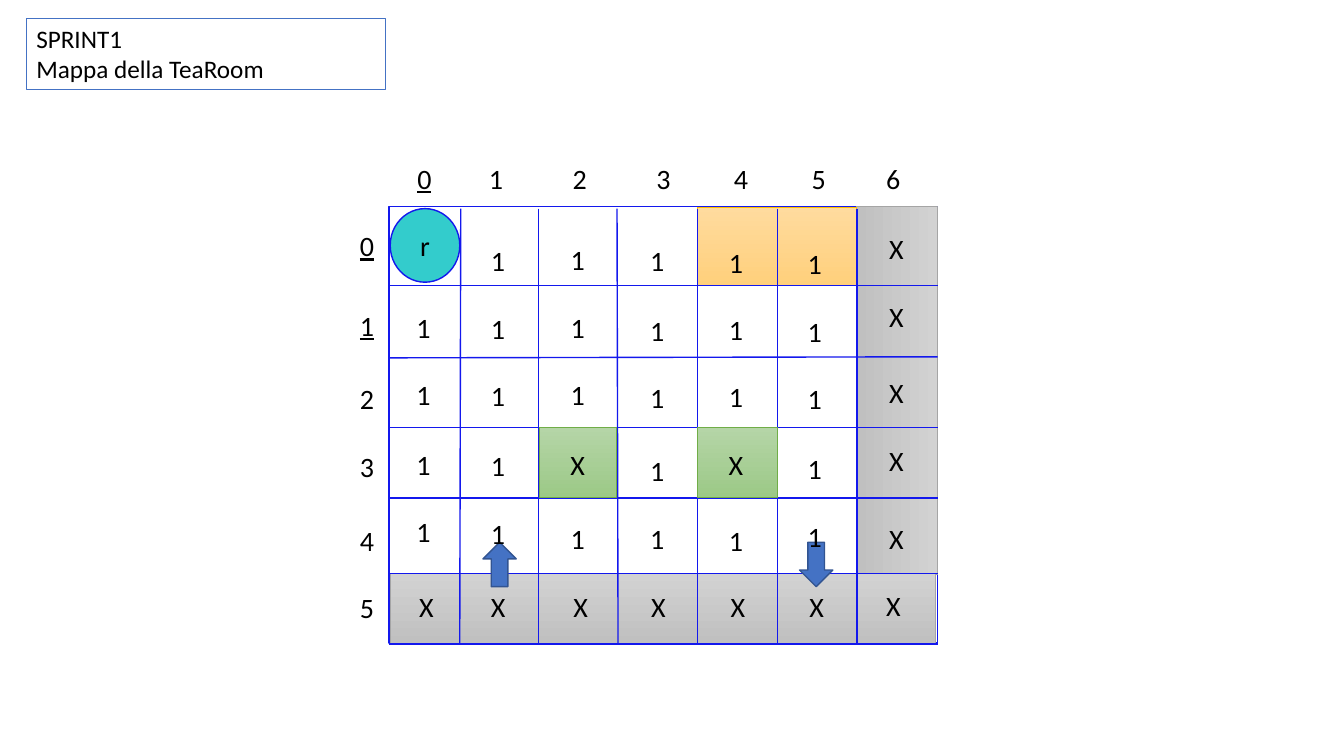
from dataclasses import dataclass
from pptx import Presentation
from pptx.dml.color import RGBColor
from pptx.enum.shapes import MSO_CONNECTOR, MSO_SHAPE
from pptx.enum.text import MSO_ANCHOR, PP_ALIGN
from pptx.oxml.ns import qn
from pptx.util import Pt

RECTANGLE, OVAL, UP_ARROW = MSO_SHAPE.RECTANGLE, MSO_SHAPE.OVAL, MSO_SHAPE.UP_ARROW
STRAIGHT = MSO_CONNECTOR.STRAIGHT
LEFT, CENTER = PP_ALIGN.LEFT, PP_ALIGN.CENTER
TOP, MIDDLE = MSO_ANCHOR.TOP, MSO_ANCHOR.MIDDLE
PX = 9144  # 100 px to the inch


@dataclass(frozen=True)
class Theme:
    font: str = "Calibri"
    title_size: int = 18
    cell_size: int = 20
    text: str = "000000"
    paper: str = "FFFFFF"
    grid: str = "1318ED"
    robot: str = "33CCCC"
    arrow: str = "4472C4"
    arrow_edge: str = "325491"
    wall: tuple = ("D2D2D2", "C0C0C0")
    wall_edge: str = "A5A5A5"
    tearoom: tuple = ("FFDB9E", "FFD07C")
    tearoom_edge: str = "FFC000"
    table: tuple = ("B5D5A7", "9CC987")
    table_edge: str = "70AD47"


THEME = Theme()
MAP_BOX = (386, 205, 544, 433)

# Everything below is measured from the corner of the map.
GRID_X = [(71, 70), (148, 148), (226, 227), (306, 306), (385, 385), (464, 464)]
GRID_Y = [(78, 78), (150, 149), (219, 219), (289, 289), (364, 364), (434, 434)]
COLUMN_CENTERS = [34, 108, 187, 266, 344, 422, 503]
WALL_CENTERS = [37, 108, 190, 267, 346, 424, 500]
HEADER_CENTERS = [35, 106, 189, 272, 349, 426, 500]
HEADER_TOP = -50
ROW_LABEL_CENTER = -22
ROW_LABEL_TOPS = [17, 96, 169, 236, 309, 376]
CELLS = [" 11111X", "111111X", "111111X", "11X1X1X", "111111X", "XXXXXXX"]
CELL_TOPS = [
    [0, 32, 31, 32, 34, 35, 20],
    [98, 99, 98, 101, 100, 102, 87],
    [165, 166, 165, 168, 167, 169, 163],
    [234, 235, 234, 240, 234, 238, 230],
    [301, 302, 307, 307, 309, 305, 307],
    [375, 375, 375, 375, 375, 375, 374],
]


def color(value):
    return RGBColor.from_string(value)


def write(para, text, size, align=LEFT, underline=False):
    para.alignment = align
    span = para.add_run()
    span.text = text
    span.font.color.rgb = color(THEME.text)
    formats = {"name": THEME.font, "size": Pt(size), "underline": underline}
    for name, value in formats.items():
        setattr(span.font, name, value)


def paint(shape, fill, edge, width):
    """Fill with one colour, or with a pair as a downward gradient."""
    if isinstance(fill, tuple):
        shape.fill.gradient()
        shape.fill.gradient_angle = 270
        for stop, value in zip(shape.fill.gradient_stops, fill):
            stop.color.rgb = color(value)
            stop.position = float(fill.index(value))
    else:
        shape.fill.solid()
        shape.fill.fore_color.rgb = color(fill)
    shape.line.color.rgb = color(edge)
    shape.line.width = Pt(width)


def add_figure(page, kind, box, fill, edge, width=1, rotation=0):
    shape = page.shapes.add_shape(kind, *(value * PX for value in box))
    shape.shadow.inherit = False
    shape.rotation = rotation
    paint(shape, fill, edge, width)
    return shape


def add_grid_line(page, *ends):
    line = page.shapes.add_connector(STRAIGHT, *(value * PX for value in ends))
    line.line.color.rgb = color(THEME.grid)
    line.line.width = Pt(1)
    properties = line._element.spPr
    properties.append(properties.makeelement(qn("a:effectLst"), {}))


def add_label(page, text, center, top, underline=False):
    box = page.shapes.add_textbox((center - 17) * PX, top * PX, 34 * PX, 44 * PX)
    frame = box.text_frame
    for name, value in {"word_wrap": True, "margin_left": 0, "margin_right": 0}.items():
        setattr(frame, name, value)
    write(frame.paragraphs[0], text, THEME.cell_size, CENTER, underline)


def build_title(page, box):
    title = page.shapes.title
    for name, value in zip(("left", "top", "width", "height"), box):
        setattr(title, name, value * PX)
    title.line.color.rgb = color(THEME.arrow)
    title.line.width = Pt(0.75)
    frame = title.text_frame
    frame.word_wrap = True
    frame.vertical_anchor = TOP
    write(frame.paragraphs[0], "SPRINT1", THEME.title_size)
    write(frame.add_paragraph(), "Mappa della TeaRoom", THEME.title_size)
    for para in frame.paragraphs:
        para.space_before = Pt(0)
        para.line_spacing = 1.0


def build_areas(page, left, top):
    wall = (THEME.wall, THEME.wall_edge, 0.5)
    add_figure(page, RECTANGLE, (left + 321, top + 142, 365, 80), *wall, rotation=90)
    add_figure(page, RECTANGLE, (left + 1, top + 364, 541, 70), *wall)
    add_figure(page, RECTANGLE, (left + 306, top + 1, 157, 77),
               THEME.tearoom, THEME.tearoom_edge, 0.5)


def build_grid(page, left, top, width, height):
    for start, end in GRID_X:
        add_grid_line(page, left + start, top + 2, left + end, top + height)
    for start, end in GRID_Y:
        add_grid_line(page, left, top + start, left + width, top + end)


def build_objects(page, left, top):
    robot = add_figure(page, OVAL, (left + 1, top + 2, 69, 73), THEME.robot, THEME.grid)
    robot.text_frame.vertical_anchor = MIDDLE
    write(robot.text_frame.paragraphs[0], "r", THEME.cell_size, CENTER)
    for x, width in ((149, 76), (306, 79)):
        add_figure(page, RECTANGLE, (left + x, top + 219, width, 69),
                   THEME.table, THEME.table_edge, 0.5)
    for x, rotation in ((93, 0), (407, 180)):
        add_figure(page, UP_ARROW, (left + x, top + 333, 33, 44),
                   THEME.arrow, THEME.arrow_edge, rotation=rotation)


def build_labels(page, left, top):
    for column, center in enumerate(HEADER_CENTERS):
        add_label(page, str(column), left + center, top + HEADER_TOP, column == 0)
    for row, label_top in enumerate(ROW_LABEL_TOPS):
        add_label(page, str(row), left + ROW_LABEL_CENTER, top + label_top, row < 2)
    for row, (marks, tops) in enumerate(zip(CELLS, CELL_TOPS)):
        centers = WALL_CENTERS if row == len(CELLS) - 1 else COLUMN_CENTERS
        for mark, center, mark_top in zip(marks, centers, tops):
            if mark != " ":
                add_label(page, mark, left + center, top + mark_top)


def build_map(page, box):
    left, top, width, height = box
    add_figure(page, RECTANGLE, box, THEME.paper, THEME.grid)
    build_areas(page, left, top)
    build_grid(page, left, top, width, height)
    build_objects(page, left, top)
    build_labels(page, left, top)


def main():
    deck = Presentation()
    deck.slide_width, deck.slide_height = 1333 * PX, 750 * PX
    page = deck.slides.add_slide(deck.slide_layouts.get_by_name("Title Only"))
    build_title(page, (26, 18, 356, 71))
    build_map(page, MAP_BOX)
    deck.save("out.pptx")


if __name__ == "__main__":
    main()
